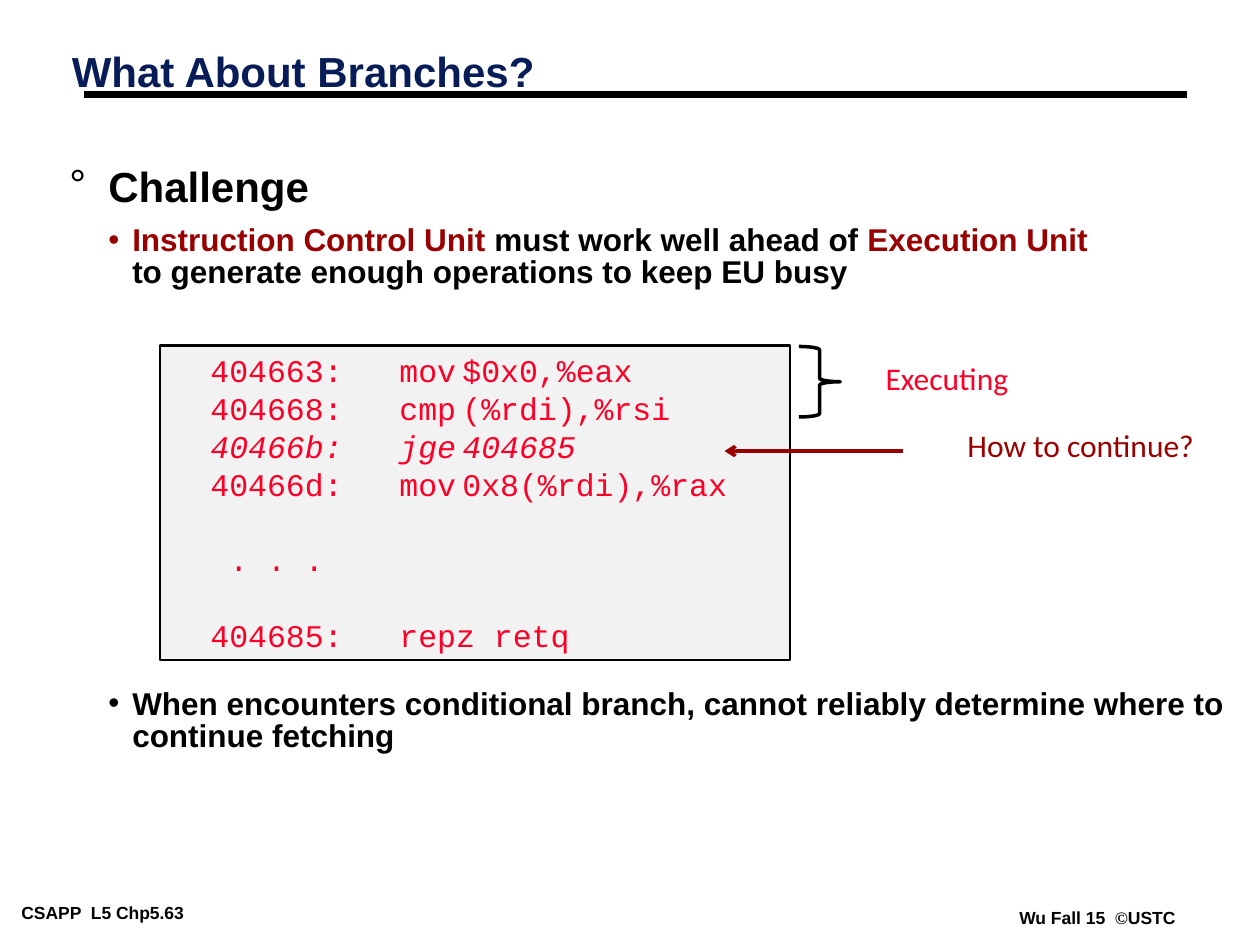
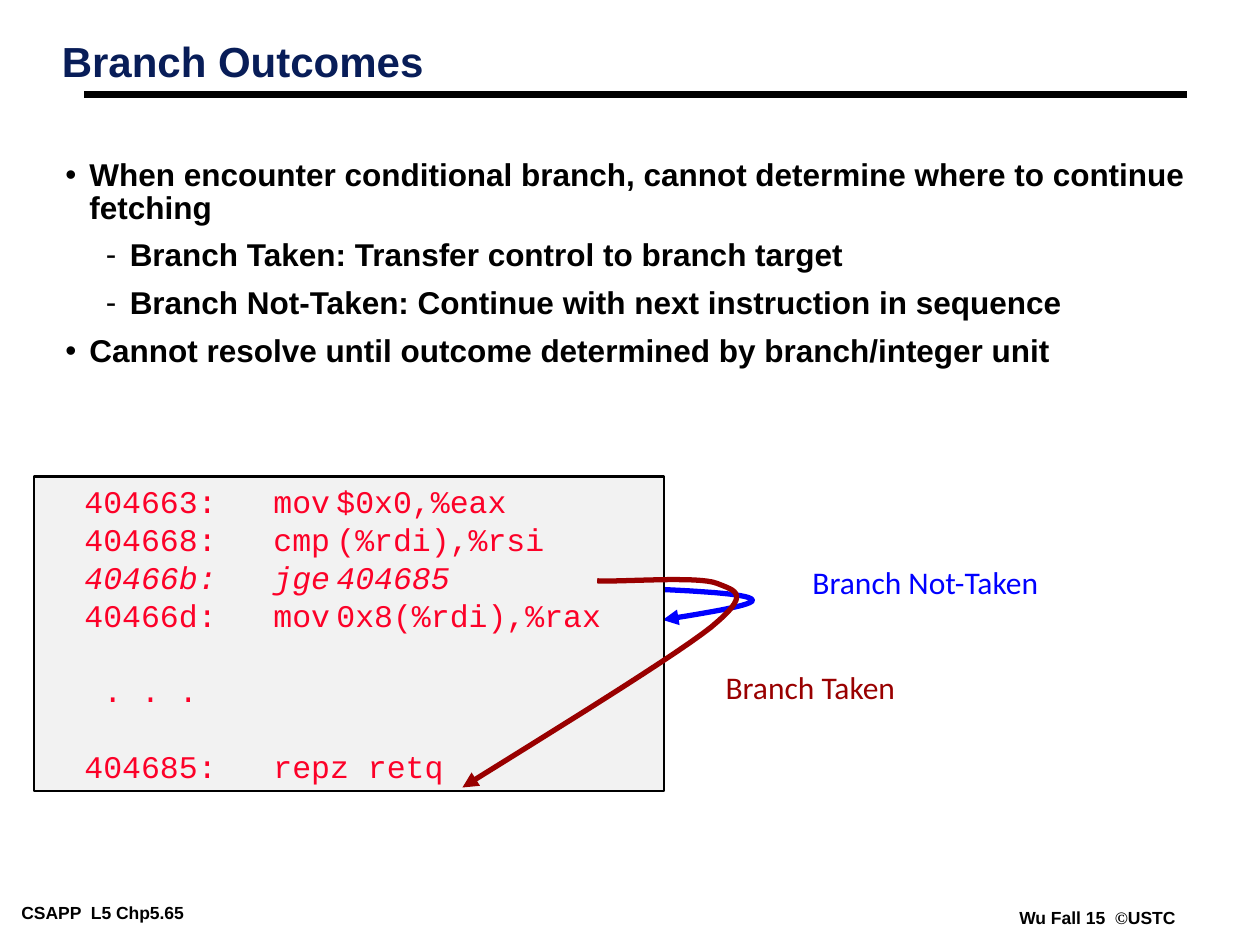
from pptx import Presentation
from pptx import util as u
from pptx.dml.color import RGBColor
from pptx.enum import shapes, text
from pptx.oxml.ns import qn
from lxml import etree

PX = 9144  # 100 px to the inch
HUE = {"ink": "000000", "navy": "081D58", "red": "FC0128",
       "wine": "990000", "blue": "0000FF", "pale": "F2F2F2"}
RGB = {name: RGBColor.from_string(code) for name, code in HUE.items()}


def area(page, x, y, w, h, pad=(7, 3), wrap=True):
    """Add a text box and return its frame."""
    frame = page.shapes.add_textbox(x * PX, y * PX, w * PX, h * PX).text_frame
    frame.word_wrap = wrap
    frame.margin_left = frame.margin_right = pad[0] * PX
    frame.margin_top = frame.margin_bottom = pad[1] * PX
    return frame


def write(frame, runs, size=18, hue="ink", font="Arial", bold=False, slant=False,
          left=0, hang=0, line=None, before=0, mark=None, tint="ink", tabs=()):
    """Add a paragraph; runs is a string or a list of (text, hue, font)."""
    para = frame.add_paragraph() if frame.text else frame.paragraphs[0]
    para.alignment = text.PP_ALIGN.LEFT
    para.space_before = u.Pt(before)
    if line:
        para.line_spacing = line
    prop = para._p.get_or_add_pPr()
    prop.set("marL", str(left * PX))
    prop.set("indent", str(-hang * PX))
    if mark:
        color = etree.SubElement(prop, qn("a:buClr"))
        etree.SubElement(color, qn("a:srgbClr"), val=HUE[tint])
        etree.SubElement(prop, qn("a:buFont"), typeface="Arial")
        etree.SubElement(prop, qn("a:buChar"), char=mark)
    if tabs:
        stops = etree.SubElement(prop, qn("a:tabLst"))
        for stop in tabs:
            etree.SubElement(stops, qn("a:tab"), pos=str(stop * PX), algn="l")
    for words, shade, face in [(runs, hue, font)] if isinstance(runs, str) else runs:
        run = para.add_run()
        run.text = words.rstrip("\n")
        run.font.size = u.Pt(size)
        run.font.name = face
        run.font.bold = bold
        run.font.italic = slant
        run.font.color.rgb = RGB[shade]
        if words.endswith("\n"):
            para.add_line_break()


deck = Presentation()
deck.slide_width, deck.slide_height = 1000 * PX, 750 * PX

# Title, its corner, page number, corner of the code box
pages = [("What About Branches?", 50, 39, 63, 127, 274),
         ("Branch Outcomes", 42, 31, 65, 27, 378)]

# Code line, italic, left shift, points before
code = [("404663:\tmov\t$0x0,%eax", False, 0, 0),
        ("404668:\tcmp\t(%rdi),%rsi", False, 0, 0),
        ("40466b:\tjge\t404685", True, 0, 0),
        ("40466d:\tmov\t0x8(%rdi),%rax", False, 0, 0),
        (". . .", False, 15, 21.6),
        ("404685:\trepz retq", False, 0, 21.6)]

# Body frames and paragraphs: text, size, left, hang, line, before, mark, tint
head = dict(size=24, left=31, hang=31, line=0.75, before=19.5, mark="°")
inner = dict(left=50, hang=19, line=0.85, before=9, mark="•")
outer = dict(inner, left=31)
dash = dict(inner, left=63, mark="-")
bodies = [
    ((48, 134, 943, 487), [
        ("Challenge", head),
        ([("Instruction Control Unit ", "wine", "Arial"),
          ("must work well ahead of ", "ink", "Arial"),
          ("Execution Unit\n", "wine", "Arial"),
          ("to generate enough operations to keep EU busy", "ink", "Arial")],
         dict(inner, tint="wine")),
        ("When encounters conditional branch, cannot reliably determine where to "
         "continue fetching", dict(inner, before=228))]),
    ((33, 125, 958, 200), [
        ("When encounter conditional branch, cannot determine where to continue "
         "fetching", outer),
        ("Branch Taken: Transfer control to branch target", dash),
        ("Branch Not-Taken: Continue with next instruction in sequence", dash),
        ("Cannot resolve until outcome determined by branch/integer unit", outer)])]

labels = [[("Executing", "red", 693, 280, 118),
           ("How to continue?", "wine", 758, 333, 200)],
          [("Branch Taken", "wine", 566, 525, 158),
           ("Branch Not-Taken", "blue", 635, 442, 203)]]

made, boxes = [], []
for (title, left, top, num, boxx, boxy), (spot, paras), tags in zip(pages, bodies, labels):
    page = deck.slides.add_slide(deck.slide_layouts[6])
    made.append(page)
    write(area(page, 10, 713, 195, 22, wrap=False), f"CSAPP  L5 Chp5.{num}",
          size=10, bold=True)
    write(area(page, 802, 717, 138, 22, wrap=False),
          [("Wu Fall 15  ", "ink", "Arial"), ("©", "ink", "Times New Roman"),
           ("USTC", "ink", "Arial")], size=10, bold=True)
    rule = page.shapes.add_connector(shapes.MSO_CONNECTOR.STRAIGHT,
                                     67 * PX, 75 * PX, 942 * PX, 75 * PX)
    rule.line.width = u.Pt(4.5)
    rule.line.color.rgb = RGB["ink"]
    etree.SubElement(rule._element.spPr, qn("a:effectLst"))
    write(area(page, left, top, 702, 63), title, size=24, hue="navy", bold=True, line=0.87)

    body = area(page, *spot)
    for words, form in paras:
        write(body, words, bold=True, **form)

    box = page.shapes.add_shape(shapes.MSO_SHAPE.RECTANGLE, boxx * PX, boxy * PX,
                                500 * PX, 250 * PX)
    boxes.append(box)
    box.shadow.inherit = False
    box.fill.solid()
    box.fill.fore_color.rgb = RGB["pale"]
    box.line.color.rgb = RGB["ink"]
    box.line.width = u.Pt(1.5)
    frame = box.text_frame
    frame.vertical_anchor = text.MSO_ANCHOR.TOP
    frame.margin_left, frame.margin_right = 40 * PX, 0
    frame.margin_top = frame.margin_bottom = 5 * PX
    for words, slant, shift, gap in code:
        write(frame, words, hue="red", font="Courier New", slant=slant, left=shift,
              line=u.Pt(21.6), before=gap, tabs=(135, 240))

    for words, hue, x, y, w in tags:
        write(area(page, x, y, w, 40, (10, 5), False), words, hue=hue, font="Calibri")

brace = made[0].shapes.add_shape(shapes.MSO_SHAPE.RIGHT_BRACE,
                                 634 * PX, 275 * PX, 33 * PX, 56 * PX)
brace.shadow.inherit = False
brace.fill.background()
brace.line.color.rgb = RGB["ink"]
brace.line.width = u.Pt(2)

arrow = made[0].shapes.add_connector(shapes.MSO_CONNECTOR.STRAIGHT,
                                     717 * PX, 358 * PX, 575 * PX, 358 * PX)
etree.SubElement(arrow._element.spPr, qn("a:effectLst"))
ends = [(arrow, "wine", 2, "arrow")]

# Each curve is a start point, then three points for each Bezier piece
curves = [("blue", [(508, 467), (551, 469), (594, 471), (597, 476),
                    (600, 480), (563, 486), (526, 492)]),
          ("wine", [(474, 461), (494, 462), (554, 457), (569, 463),
                    (584, 469), (597, 471), (564, 498),
                    (530, 525), (400, 604), (367, 625)])]
STEPS = 16
for hue, knots in curves:
    points = []
    for at in range(0, len(knots) - 1, 3):
        for step in range(1, STEPS + 1):
            t = step / STEPS
            mix = ((1 - t) ** 3, 3 * t * (1 - t) ** 2, 3 * t * t * (1 - t), t ** 3)
            points.append([round(PX * sum(m * k[axis] for m, k in zip(mix, knots[at:at + 4])))
                           for axis in (0, 1)])
    pen = made[1].shapes.build_freeform(knots[0][0] * PX, knots[0][1] * PX)
    pen.add_line_segments(points, close=False)
    curve = pen.convert_to_shape()
    curve.shadow.inherit = False
    curve.fill.background()
    if hue == "blue":  # runs behind the code box
        boxes[1]._element.addprevious(curve._element)
    ends.append((curve, hue, 3, "triangle"))

for shape, hue, width, tip in ends:
    shape.line.color.rgb = RGB[hue]
    shape.line.width = u.Pt(width)
    etree.SubElement(shape.line._get_or_add_ln(), qn("a:tailEnd"), type=tip)

deck.save("out.pptx")
